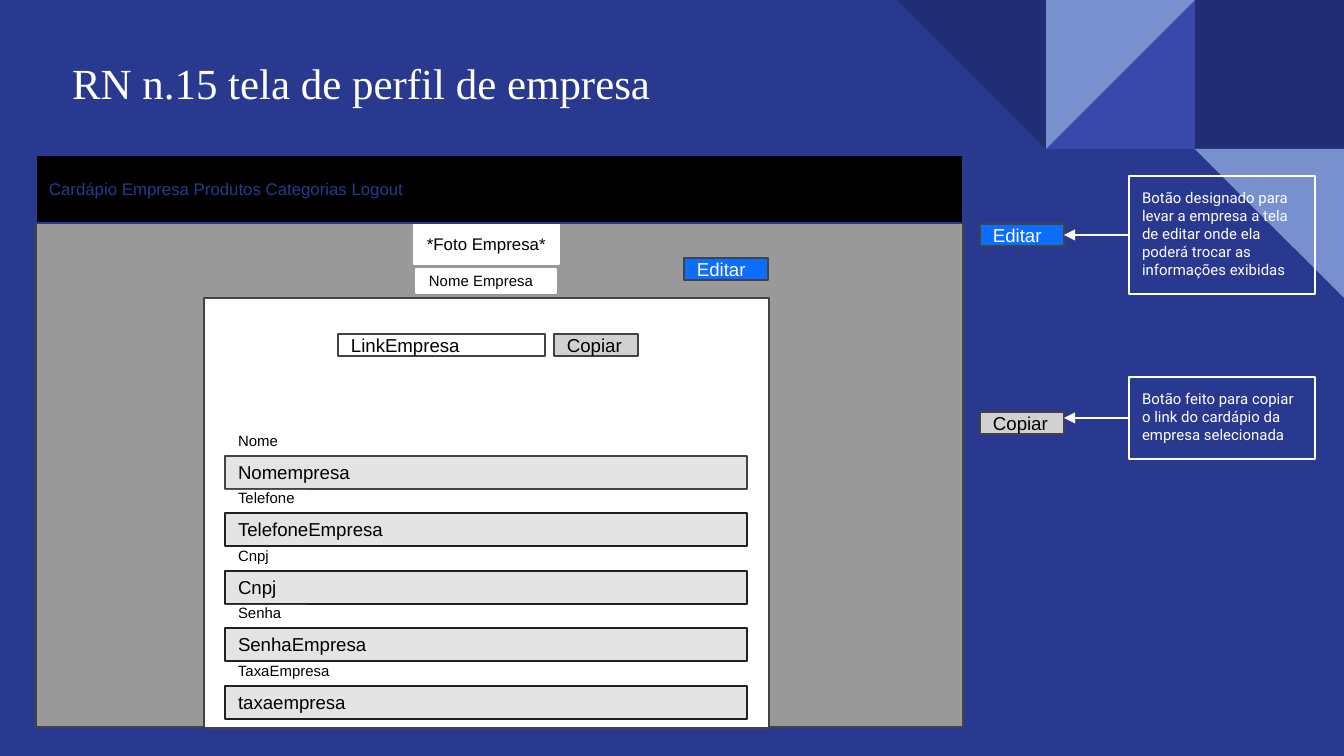
from lxml import etree
from pptx import Presentation
from pptx.dml.color import RGBColor
from pptx.enum.shapes import MSO_CONNECTOR, MSO_SHAPE
from pptx.enum.text import MSO_ANCHOR, MSO_AUTO_SIZE, PP_ALIGN
from pptx.oxml.ns import qn
from pptx.util import Pt

RECT, TRI = MSO_SHAPE.RECTANGLE, MSO_SHAPE.RIGHT_TRIANGLE
LINE = MSO_CONNECTOR.STRAIGHT
TOP, MID = MSO_ANCHOR.TOP, MSO_ANCHOR.MIDDLE
GROW, LEFT = MSO_AUTO_SIZE.SHAPE_TO_FIT_TEXT, PP_ALIGN.LEFT
SCALE = 914400 / 134.4
WHITE, BLACK, NAVY, DARK = "FFFFFF", "000000", "2A3990", "212D74"
INDIGO, PALE, EDGE, INK = "3949AB", "7890CD", "434343", "202124"
GRAY, FIELD, SILVER, BLUE = "999999", "E4E4E4", "D1D1D1", "0D6EFD"


def px(n):
    """Turn pixels into EMU."""
    return round(n * SCALE)


def rgb(code):
    """Turn a hex string into a colour."""
    return RGBColor.from_string(code)


class Board:
    """Holds the style and the current slide."""

    def __init__(self, deck):
        """Add a blank slide with the background colour."""
        self.slide = deck.slides.add_slide(deck.slide_layouts[6])
        self.slide.background.fill.solid()
        self.slide.background.fill.fore_color.rgb = rgb(NAVY)
        self.shapes = self.slide.shapes

    def shape(self, kind, x, y, w, h, fill=None, line=None):
        """Draw a preset shape."""
        item = self.shapes.add_shape(kind, px(x), px(y), px(w), px(h))
        item.shadow.inherit = False
        if fill:
            item.fill.solid()
            item.fill.fore_color.rgb = rgb(fill)
        else:
            item.fill.background()
        if line:
            item.line.color.rgb = rgb(line)
            item.line.width = Pt(0.75)
        else:
            item.line.fill.background()
        return item

    def label(self, item, text, size, color=BLACK, font="Arial", anchor=MID):
        """Put one styled paragraph into a shape."""
        frame = item.text_frame
        frame.word_wrap = True
        frame.vertical_anchor = anchor
        frame.margin_left = frame.margin_right = px(13)
        frame.margin_top = frame.margin_bottom = px(13)
        para = frame.paragraphs[0]
        para.text, para.alignment = text, LEFT
        para.font.size, para.font.name = Pt(size), font
        para.font.color.rgb = rgb(color)

    def box(self, x, y, w, h, text, size, fill, line=None, color=BLACK):
        """Draw a filled rectangle with text."""
        item = self.shape(RECT, x, y, w, h, fill, line)
        self.label(item, text, size, color)
        return item

    def edit(self, x, y):
        """Draw an edit button."""
        return self.box(x, y, 84, 22, "Editar", 10, BLUE, EDGE, WHITE)

    def copier(self, x, y):
        """Draw a copy button."""
        return self.box(x, y, 84, 22, "Copiar", 10, SILVER, EDGE)

    def note(self, y, h, text):
        """Draw an outlined note."""
        item = self.shape(RECT, 1129, y, 186, h, line=WHITE)
        self.label(item, text, 8, WHITE, "Roboto", TOP)
        item.text_frame.auto_size = GROW
        return item

    def arrow(self, note, y, goal=None):
        """Draw an arrow from a note's left side to a button."""
        link = self.shapes.add_connector(LINE, px(1129), px(y), px(1064), px(y))
        link.begin_connect(note, 1)
        if goal is not None:
            link.end_connect(goal, 3)
        link.line.color.rgb = rgb(WHITE)
        link.line.width = Pt(0.75)
        props = link._element.spPr
        etree.SubElement(props.find(qn("a:ln")), qn("a:tailEnd"), type="triangle")
        etree.SubElement(props, qn("a:effectLst"))

    def title(self, text):
        """Draw the slide title."""
        item = self.shapes.add_textbox(px(59), px(44), px(1056), px(79))
        self.label(item, text, 23, WHITE, "Times New Roman", TOP)
        item.text_frame.auto_size = GROW


def main():
    """Build the slide and save it."""
    deck = Presentation()
    deck.slide_width, deck.slide_height = px(1344), px(756)
    board = Board(deck)

    side = 149
    right = 1344 - side
    board.shape(RECT, right, 0, side, side, DARK)
    for col, row, turn, fill in [(1, 0, 270, INDIGO), (1, 0, 90, PALE),
                                 (2, 0, 180, DARK), (0, 1, 180, PALE)]:
        tile = board.shape(TRI, right - col * side, row * side, side, side, fill)
        tile.rotation = turn

    board.shape(RECT, 36, 155, 927, 572, GRAY, EDGE)
    board.shape(RECT, 204, 298, 565, 430, WHITE, EDGE)

    rows = [("Nome", "Nomempresa", 83, EDGE),
            ("Telefone", "TelefoneEmpresa", 83, INK),
            ("Cnpj", "Cnpj", 83, INK),
            ("Senha", "SenhaEmpresa", 83, INK),
            ("TaxaEmpresa", "taxaempresa", 140, INK)]
    for i, (name, value, width, line) in enumerate(rows):
        y = 456 + i * 115 // 2
        board.box(225, y, 522, 33, value, 10, FIELD, line)
        board.box(225, y - 23, width, 16, name, 8, WHITE)

    board.box(338, 334, 207, 22, "LinkEmpresa", 10, WHITE, EDGE)
    board.copier(554, 334)
    board.edit(684, 258)
    board.box(414, 224, 145, 40, "*Foto Empresa*", 9, WHITE, WHITE)
    board.box(416, 269, 140, 24, "Nome Empresa", 8, WHITE, WHITE)

    edit = board.edit(980, 224)
    note = board.note(176, 118, "Botão designado para levar a empresa a tela de "
                      "editar onde ela poderá trocar as informações exibidas")
    board.arrow(note, 235, edit)
    board.copier(980, 412)
    note = board.note(377, 82, "Botão feito para copiar o link do cardápio "
                      "da empresa selecionada")
    board.arrow(note, 418)

    board.box(36, 155, 927, 68, "Cardápio Empresa Produtos Categorias Logout",
              9, BLACK, NAVY, NAVY)
    board.title("RN n.15 tela de perfil de empresa")
    deck.save("out.pptx")


if __name__ == "__main__":
    main()
